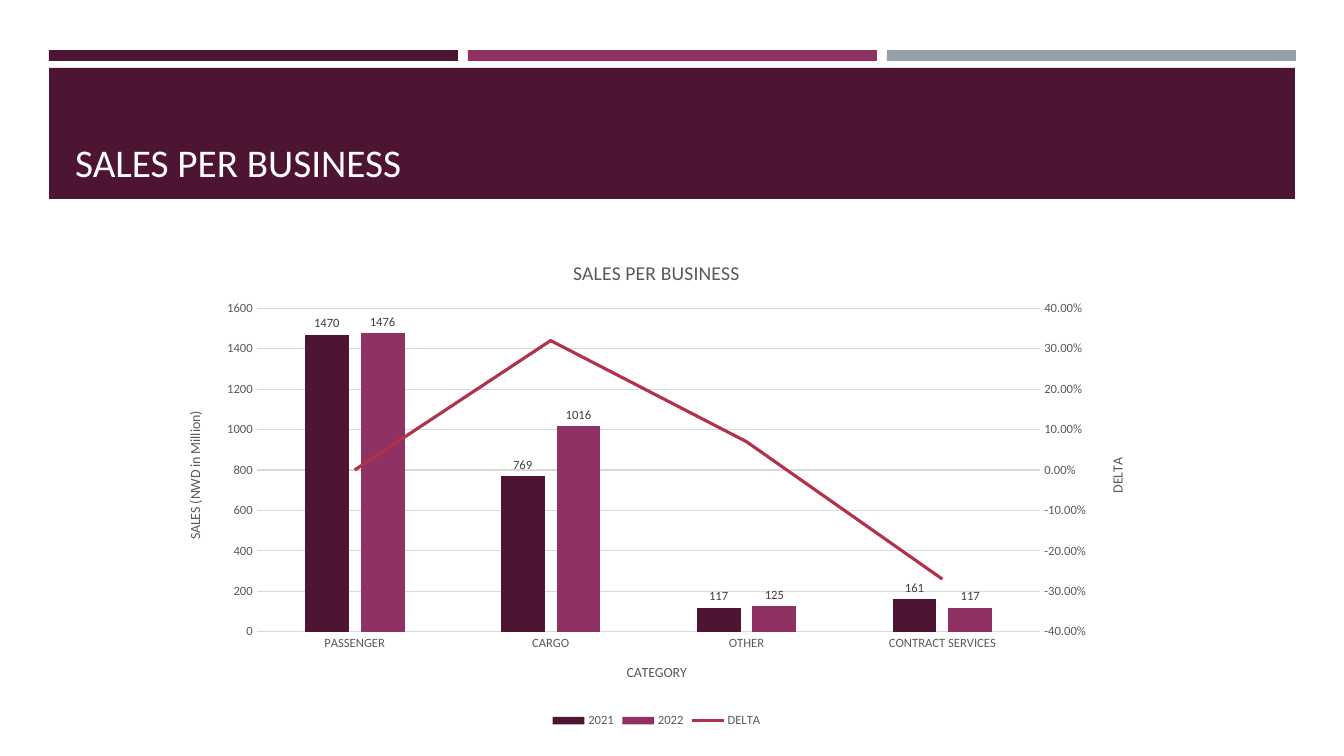
from copy import deepcopy

from pptx import Presentation
from pptx.chart.axis import CategoryAxis, ValueAxis
from pptx.chart.data import CategoryChartData
from pptx.dml.color import RGBColor
from pptx.enum.chart import (XL_CHART_TYPE, XL_LABEL_POSITION as LABEL_POS, XL_LEGEND_POSITION as LEGEND_POS,
                             XL_MARKER_STYLE as MARKER, XL_TICK_MARK as TICK)
from pptx.enum.shapes import MSO_SHAPE
from pptx.enum.text import MSO_ANCHOR, PP_ALIGN
from pptx.oxml import parse_xml
from pptx.oxml.ns import nsdecls, qn
from pptx.util import Pt

PX = 914400 / 100.8
FONT = "Calibri"
PLUM = RGBColor(0x4D, 0x14, 0x34)
MAGENTA = RGBColor(0x90, 0x31, 0x63)
SLATE = RGBColor(0x96, 0x9F, 0xA7)
RED = RGBColor(0xB2, 0x32, 0x4B)
WHITE = RGBColor(0xFF, 0xFF, 0xFF)
BLACK = RGBColor(0x00, 0x00, 0x00)
GRAY = RGBColor(0x59, 0x59, 0x59)
DARK = RGBColor(0x40, 0x40, 0x40)
GRID = RGBColor(0xD9, 0xD9, 0xD9)


def px(*lengths):
    return [round(n * PX) for n in lengths]


def style(font, size, color):
    font.name, font.size, font.bold = FONT, Pt(size), False
    font.color.rgb = color


prs = Presentation()
prs.slide_width, prs.slide_height = px(1344, 756)
s = prs.slides.add_slide(prs.slide_layouts[5])

# Header band and the three strips above it
strips = [(49 + 419 * i, 50, 409, 11, color) for i, color in enumerate((PLUM, MAGENTA, SLATE))]
for x, y, w, h, color in strips + [(49, 68, 1246, 131, PLUM)]:
    bar = s.shapes.add_shape(MSO_SHAPE.RECTANGLE, *px(x, y, w, h))
    bar.shadow.inherit = False
    bar.fill.solid()
    bar.fill.fore_color.rgb = color
    bar.line.fill.background()

title = s.shapes.title
title.left, title.top, title.width, title.height = px(65, 78, 1215, 112)
s.shapes.element.append(title.element)  # in front of the band
tf = title.text_frame
tf.text = "SALES PER BUSINESS"
tf.vertical_anchor = MSO_ANCHOR.BOTTOM
p = tf.paragraphs[0]
p.alignment = PP_ALIGN.LEFT
style(p.runs[0].font, 28, WHITE)

# Chart
data = CategoryChartData()
data.categories = ["PASSENGER", "CARGO", "OTHER", "CONTRACT SERVICES"]
data.add_series("2021", (1470, 769, 117, 161))
data.add_series("2022", (1476, 1016, 125, 117))
data.add_series("DELTA", (0, 0.32, 0.07, -0.27), number_format="0.00%")
chart = s.shapes.add_chart(XL_CHART_TYPE.COLUMN_CLUSTERED, *px(163, 241, 987, 491), data).chart
style(chart.font, 10, BLACK)
chart.has_title = True
chart.chart_title.text_frame.text = "SALES PER BUSINESS"
style(chart.chart_title.text_frame.paragraphs[0].runs[0].font, 14, GRAY)
chart.has_legend = True
chart.legend.position = LEGEND_POS.BOTTOM
chart.legend.include_in_layout = False
style(chart.legend.font, 9, GRAY)

# Second pair of axes, on the right
cat_axis, sales_axis = chart.category_axis, chart.value_axis
cat_xml, sales_xml = cat_axis._element, sales_axis._element
plot_area = cat_xml.getparent()
right_xml, hidden_xml = deepcopy(sales_xml), deepcopy(cat_xml)
for axis_xml, own, other in ((right_xml, "5002", "5001"), (hidden_xml, "5001", "5002")):
    axis_xml.find(qn("c:axId")).set("val", own)
    axis_xml.find(qn("c:crossAx")).set("val", other)
right_xml.find(qn("c:crosses")).set("val", "max")
right_xml.find(qn("c:axPos")).set("val", "r")
sales_xml.addnext(right_xml)
right_xml.addnext(hidden_xml)
CategoryAxis(hidden_xml).visible = False
delta_axis = ValueAxis(right_xml)

# The third series becomes a line on the right axis
bar_xml = plot_area.find(qn("c:barChart"))
delta_xml = bar_xml.findall(qn("c:ser"))[2]
for bar_only in delta_xml.findall(qn("c:invertIfNegative")):
    delta_xml.remove(bar_only)
line_xml = parse_xml(
    f'<c:lineChart {nsdecls("c")}><c:grouping val="standard"/><c:varyColors val="0"/>'
    '<c:marker val="1"/><c:axId val="5001"/><c:axId val="5002"/></c:lineChart>')
line_xml.insert(2, delta_xml)
bar_xml.addnext(line_xml)

# Fixed inner plot area
for layout in plot_area.findall(qn("c:layout")):
    plot_area.remove(layout)
plot_area.insert(0, parse_xml(
    f'<c:layout {nsdecls("c")}><c:manualLayout><c:layoutTarget val="inner"/>'
    '<c:xMode val="edge"/><c:yMode val="edge"/><c:x val="0.095"/><c:y val="0.137"/>'
    '<c:w val="0.794"/><c:h val="0.659"/></c:manualLayout></c:layout>'))

for axis, text, rotation in ((cat_axis, "CATEGORY", "0"),
                             (sales_axis, "SALES (NWD in Million)", "-5400000"),
                             (delta_axis, "DELTA", "-5400000")):
    axis.major_tick_mark = axis.minor_tick_mark = TICK.NONE
    style(axis.tick_labels.font, 9, GRAY)
    axis.format.line.fill.background()
    tf = axis.axis_title.text_frame
    tf.text = text
    style(tf.paragraphs[0].runs[0].font, 10, GRAY)
    tf._txBody.find(qn("a:bodyPr")).set("rot", rotation)

cat_axis.format.line.color.rgb = GRID
cat_axis.format.line.width = Pt(0.75)
sales_axis.minimum_scale, sales_axis.maximum_scale, sales_axis.major_unit = 0, 1600, 200
sales_axis.major_gridlines.format.line.color.rgb = GRID
sales_axis.major_gridlines.format.line.width = Pt(0.75)
delta_axis.minimum_scale, delta_axis.maximum_scale, delta_axis.major_unit = -0.4, 0.4, 0.1
delta_axis.has_major_gridlines = False
delta_axis.tick_labels.number_format = "0.00%"
delta_axis.tick_labels.number_format_is_linked = False

columns, line_plot = chart.plots
columns.gap_width, columns.overlap = 219, -27
columns.vary_by_categories = False
for series, color in zip(columns.series, (PLUM, MAGENTA)):
    series.format.fill.solid()
    series.format.fill.fore_color.rgb = color
    labels = series.data_labels
    labels.show_value = True
    labels.position = LABEL_POS.OUTSIDE_END
    style(labels.font, 9, DARK)

delta = line_plot.series[0]
delta.smooth = False
delta.marker.style = MARKER.NONE
delta.format.line.color.rgb = RED
delta.format.line.width = Pt(2.25)

prs.save("out.pptx")
